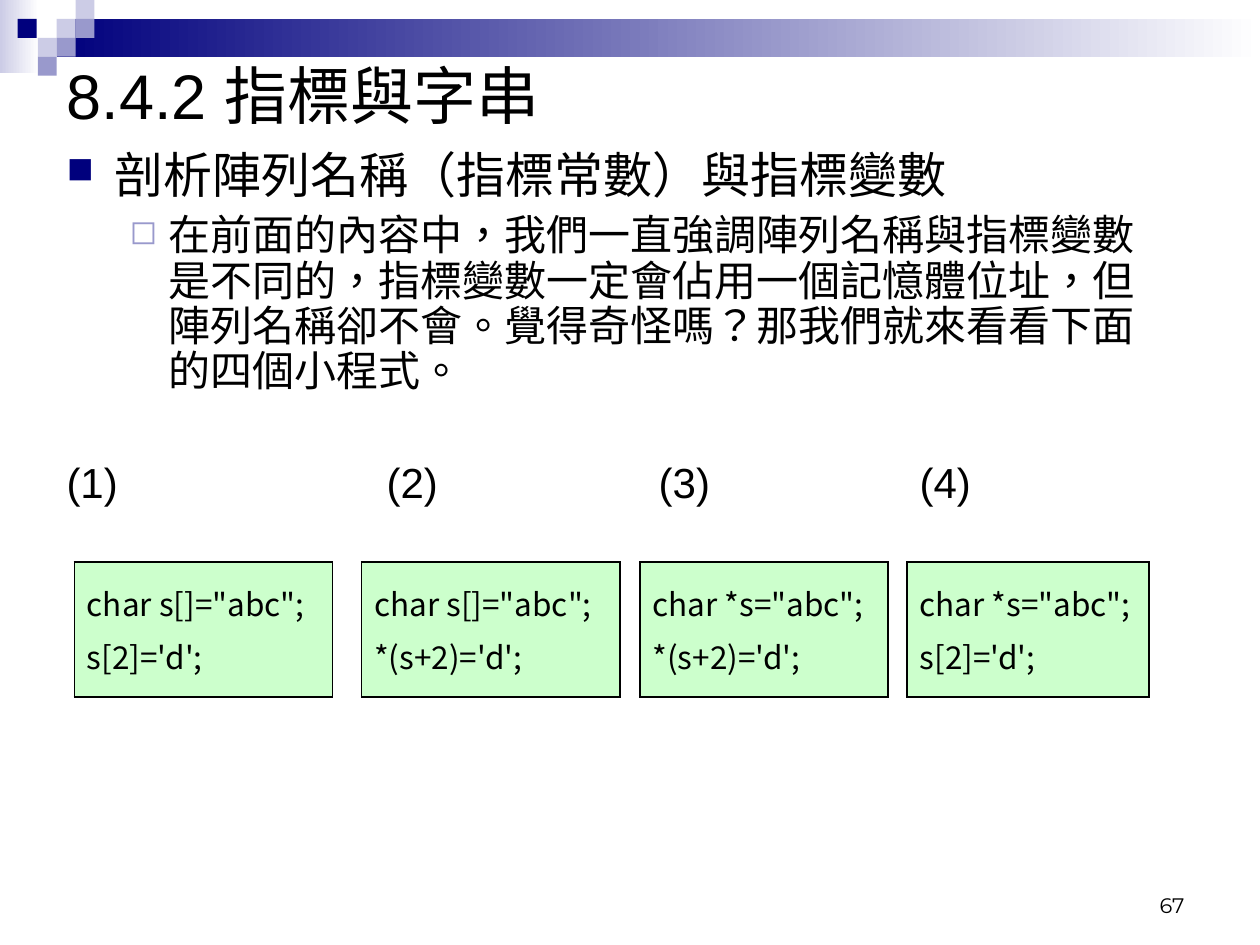
import pptx
import pptx.util
import pptx.dml.color
import pptx.enum.shapes
import pptx.enum.text
import lxml.etree
from pptx.util import Inches

A = "http://schemas.openxmlformats.org/drawingml/2006/main"


def color(value):
    return pptx.dml.color.RGBColor.from_string(value)


def add_run(p, text, size, font="Arial"):
    r = p.add_run()
    r.text = text
    r.font.size = pptx.util.Pt(size)
    r.font.name = font
    r.font.color.rgb = color("000000")
    r._r.get_or_add_rPr().set("lang", "zh-TW")


prs = pptx.Presentation()
prs.slide_width, prs.slide_height = Inches(10), Inches(7.5)
s = prs.slides.add_slide(prs.slide_layouts[6])

# Header decoration: two gradient bars, then small squares
squares = [
    (0.45, 0.15, "CCCCE6"), (0.6, 0, "CCCCE6"), (0.6, 0.15, "9999CC"),
    (0.3, 0.3, "CCCCE6"), (0.14, 0.15, "00007D"), (0.45, 0.3, "9999CC"),
    (0.3, 0.45, "9999CC"),
]
blocks = [(0, 0, 0.31, 0.58, "CCCCE6", True), (0.45, 0.15, 9.55, 0.3, "00007D", True)]
blocks += [(x, y, 0.15, 0.15, fill, False) for x, y, fill in squares]
for x, y, w, h, fill, fades in blocks:
    sp = s.shapes.add_shape(pptx.enum.shapes.MSO_SHAPE.RECTANGLE,
                            Inches(x), Inches(y), Inches(w), Inches(h))
    sp.shadow.inherit = False
    sp.line.fill.background()
    if fades:
        sp.fill.gradient()
        sp.fill.gradient_angle = 180
        for stop, value in zip(sp.fill.gradient_stops, ("FFFFFF", fill)):
            stop.color.rgb = color(value)
    else:
        sp.fill.solid()
        sp.fill.fore_color.rgb = color(fill)

# Title
tf = s.shapes.add_textbox(Inches(0.43), Inches(0), Inches(9), Inches(1.5)).text_frame
tf.word_wrap = True
tf.vertical_anchor = pptx.enum.text.MSO_ANCHOR.MIDDLE
add_run(tf.paragraphs[0], "8.4.2 指標與字串", 36)

# Body: two bullet levels
tf = s.shapes.add_textbox(Inches(0.43), Inches(1.15), Inches(9), Inches(2.99)).text_frame
tf.word_wrap = True
bullets = [
    ("剖析陣列名稱（指標常數）與指標變數", 28, 0, 0.38, 0.38, "■", "00007D", 75),
    ("在前面的內容中，我們一直強調陣列名稱與指標變數是不同的，指標變數一定會佔用一個記憶體位址，"
     "但陣列名稱卻不會。覺得奇怪嗎？那我們就來看看下面的四個小程式。",
     24, 1, 0.81, 0.31, "◻", "9999CC", 80),
]
for text, size, level, margin, hang, char, fill, percent in bullets:
    p = tf.add_paragraph() if level else tf.paragraphs[0]
    p.level = level
    p.line_spacing = 0.9
    p.space_before = pptx.util.Pt(6 * level)
    pPr = p._p.get_or_add_pPr()
    pPr.set("marL", str(Inches(margin)))
    pPr.set("indent", str(-Inches(hang)))
    bu = lxml.etree.SubElement(pPr, f"{{{A}}}buClr")
    lxml.etree.SubElement(bu, f"{{{A}}}srgbClr", val=fill)
    lxml.etree.SubElement(pPr, f"{{{A}}}buSzPct", val=str(percent * 1000))
    lxml.etree.SubElement(pPr, f"{{{A}}}buChar", char=char)
    add_run(p, text, size)

# Program numbers, spread out with tab stops
p = tf.add_paragraph()
p.line_spacing = 0.9
p.space_before = pptx.util.Pt(38)
tabs = lxml.etree.SubElement(p._p.get_or_add_pPr(), f"{{{A}}}tabLst")
for pos in (2.54, 4.7, 6.77):
    lxml.etree.SubElement(tabs, f"{{{A}}}tab", pos=str(Inches(pos)), algn="l")
add_run(p, "(1)\t(2)\t(3)\t(4)", 24)

# Four small programs, each in a one-cell table
programs = [
    (0.59, 2.05, ('char s[]="abc";', "s[2]='d';")),
    (2.87, 2.05, ('char s[]="abc";', "*(s+2)='d';")),
    (5.08, 1.97, ('char *s="abc";', "*(s+2)='d';")),
    (7.2, 1.92, ('char *s="abc";', "s[2]='d';")),
]
for x, w, code in programs:
    table = s.shapes.add_table(1, 1, Inches(x), Inches(4.46), Inches(w), Inches(1.07)).table
    table.first_row = table.horz_banding = False
    cell = table.cell(0, 0)
    tcPr = cell._tc.get_or_add_tcPr()
    for side in ("lnL", "lnR", "lnT", "lnB"):
        ln = lxml.etree.SubElement(tcPr, f"{{{A}}}{side}", w=str(pptx.util.Pt(1.08)))
        line_fill = lxml.etree.SubElement(ln, f"{{{A}}}solidFill")
        lxml.etree.SubElement(line_fill, f"{{{A}}}srgbClr", val="000000")
    cell.fill.solid()
    cell.fill.fore_color.rgb = color("CCFFCC")
    cell.vertical_anchor = pptx.enum.text.MSO_ANCHOR.MIDDLE
    tf = cell.text_frame
    for i, text in enumerate(code):
        p = tf.add_paragraph() if i else tf.paragraphs[0]
        p.space_before = pptx.util.Pt(4.5 * i)
        add_run(p, text, 18, "Noto Sans CJK TC")

# Page number
tf = s.shapes.add_textbox(Inches(7.17), Inches(6.83), Inches(2.33), Inches(0.5)).text_frame
tf.word_wrap = True
tf.vertical_anchor = pptx.enum.text.MSO_ANCHOR.BOTTOM
p = tf.paragraphs[0]
p.alignment = pptx.enum.text.PP_ALIGN.RIGHT
add_run(p, "67", 12, "Montserrat")

prs.save("out.pptx")
